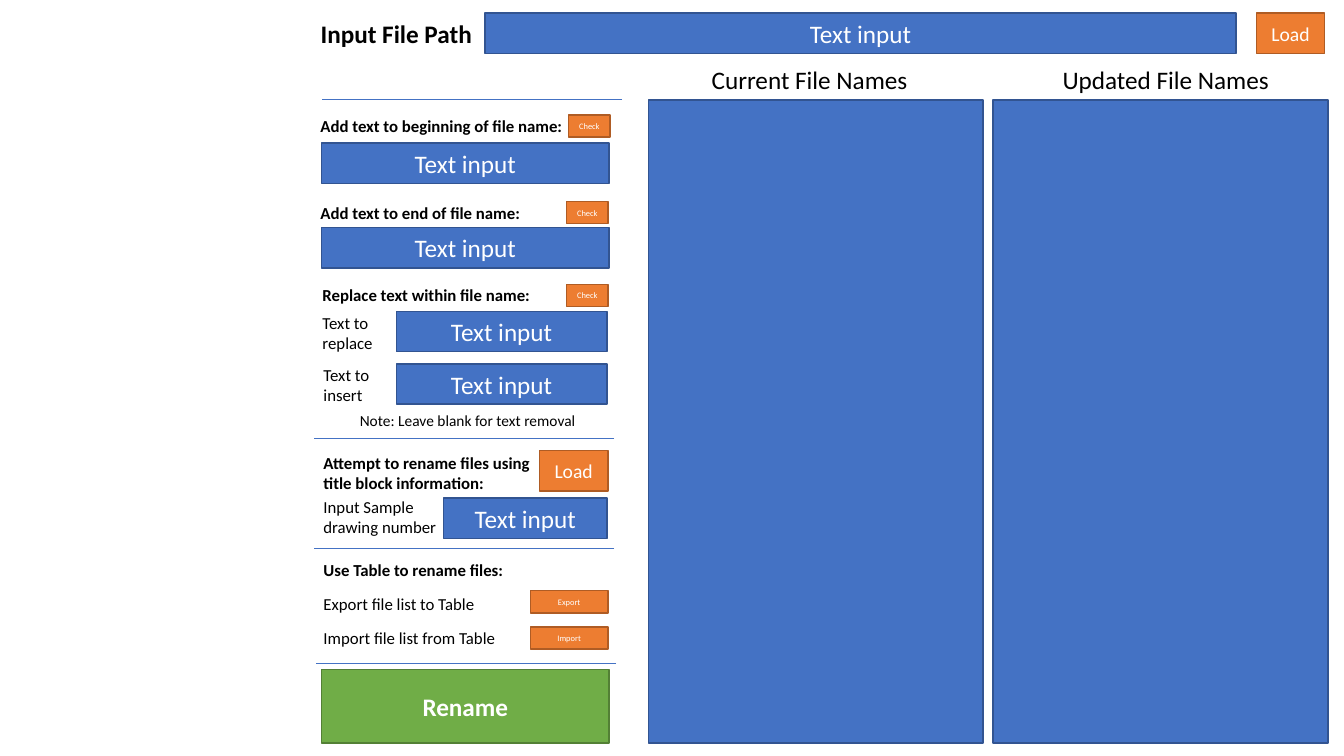
import pptx
import pptx.util
import pptx.dml.color
import pptx.enum.shapes
import pptx.enum.text
import pptx.oxml.ns
import lxml.etree

EMU_PER_PX = 9144  # 100 px to the inch
ALIGN = pptx.enum.text.PP_ALIGN
ANCHOR = pptx.enum.text.MSO_ANCHOR


def px(n):
    return pptx.util.Emu(n * EMU_PER_PX)


def rgb(value):
    return pptx.dml.color.RGBColor.from_string(value)


class Form:
    FONT = "Calibri"
    BLUE = ("4472C4", "325491")
    ORANGE = ("ED7D31", "AF5C24")
    GREEN = ("70AD47", "538035")

    def __init__(self, s):
        self.s = s

    def set_text(self, sp, text, size, color, bold, align, anchor):
        tf = sp.text_frame
        frame = {"word_wrap": True, "vertical_anchor": anchor,
                 "auto_size": pptx.enum.text.MSO_AUTO_SIZE.NONE}
        for name, value in frame.items():
            setattr(tf, name, value)
        p = tf.paragraphs[0]
        p.alignment = align
        r = p.add_run()
        r.text = text
        font = {"name": self.FONT, "size": pptx.util.Pt(size), "bold": bold}
        for name, value in font.items():
            setattr(r.font, name, value)
        r.font.color.rgb = rgb(color)

    def title(self, text, x, y, w, h):
        sp = self.s.shapes.title
        place = {"left": x, "top": y, "width": w, "height": h}
        for name, value in place.items():
            setattr(sp, name, px(value))
        self.set_text(sp, text, 18, "000000", True, ALIGN.LEFT, ANCHOR.TOP)

    def label(self, text, x, y, w, h=30, size=12, bold=False):
        sp = self.s.shapes.add_textbox(px(x), px(y), px(w), px(h))
        self.set_text(sp, text, size, "000000", bold, ALIGN.LEFT, ANCHOR.TOP)

    def box(self, x, y, w, h, colors, text="", size=18, bold=False):
        sp = self.s.shapes.add_shape(pptx.enum.shapes.MSO_SHAPE.RECTANGLE,
                                     px(x), px(y), px(w), px(h))
        fill, line = colors
        sp.shadow.inherit = False
        sp.fill.solid()
        sp.fill.fore_color.rgb = rgb(fill)
        sp.line.color.rgb = rgb(line)
        sp.line.width = pptx.util.Pt(1)
        if text:
            self.set_text(sp, text, size, "FFFFFF", bold, ALIGN.CENTER, ANCHOR.MIDDLE)

    def field(self, x, y, w):
        self.box(x, y, w, 40, self.BLUE, "Text input")

    def load_button(self, x, y):
        self.box(x, y, 68, 40, self.ORANGE, "Load", 14)

    def small_button(self, text, x, y, w):
        self.box(x, y, w, 22, self.ORANGE, text, 6)

    def divider(self, x, y):
        c = self.s.shapes.add_connector(pptx.enum.shapes.MSO_CONNECTOR.STRAIGHT,
                                        px(x + 298), px(y), px(x), px(y))
        c.line.color.rgb = rgb(self.BLUE[0])
        c.line.width = pptx.util.Pt(0.5)
        lxml.etree.SubElement(c._element.spPr, pptx.oxml.ns.qn("a:effectLst"))


def main():
    prs = pptx.Presentation()
    prs.slide_width, prs.slide_height = px(1333), px(750)
    form = Form(prs.slides.add_slide(prs.slide_layouts[5]))

    form.title("Input File Path", 308, 13, 209, 40)
    form.field(481, 13, 745)
    form.load_button(1246, 13)

    for heading, heading_x, list_x in (("Current File Names", 696, 643),
                                       ("Updated File Names", 1044, 985)):
        form.box(list_x, 99, 332, 638, form.BLUE)
        form.label(heading, heading_x, 59, 237, 40, 18)

    for x, y in ((319, 99), (311, 435), (311, 544), (313, 658)):
        form.divider(x, y)

    for text, x, y, check_x in (("Add text to beginning of file name:", 308, 110, 564),
                                ("Add text to end of file name:", 308, 196, 562),
                                ("Replace text within file name:", 310, 278, 562)):
        form.label(text, x, y, 277, bold=True)
        form.small_button("Check", check_x, y + 4, 41)
    for y in (142, 226):
        form.field(319, y, 285)

    for text, x, y, w in (("Text to replace", 310, 305, 105),
                          ("Text to insert", 311, 357, 90)):
        form.field(393, y + 4, 209)
        form.label(text, x, y, w, 50)
    form.label("Note: Leave blank for text removal", 347, 403, 277, 29, 11)

    form.label("Attempt to rename files using title block information:",
               311, 444, 242, 50, bold=True)
    form.load_button(535, 447)
    form.field(440, 494, 162)
    form.label("Input Sample drawing number", 311, 488, 144, 50)

    form.label("Use Table to rename files:", 311, 550, 242, bold=True)
    for text, y, action, button_y in (("Export file list to Table", 584, "Export", 586),
                                      ("Import file list from Table", 618, "Import", 622)):
        form.label(text, 311, y, 242)
        form.small_button(action, 526, button_y, 77)

    form.box(319, 664, 285, 73, form.GREEN, "Rename", bold=True)
    prs.save("out.pptx")


if __name__ == "__main__":
    main()
